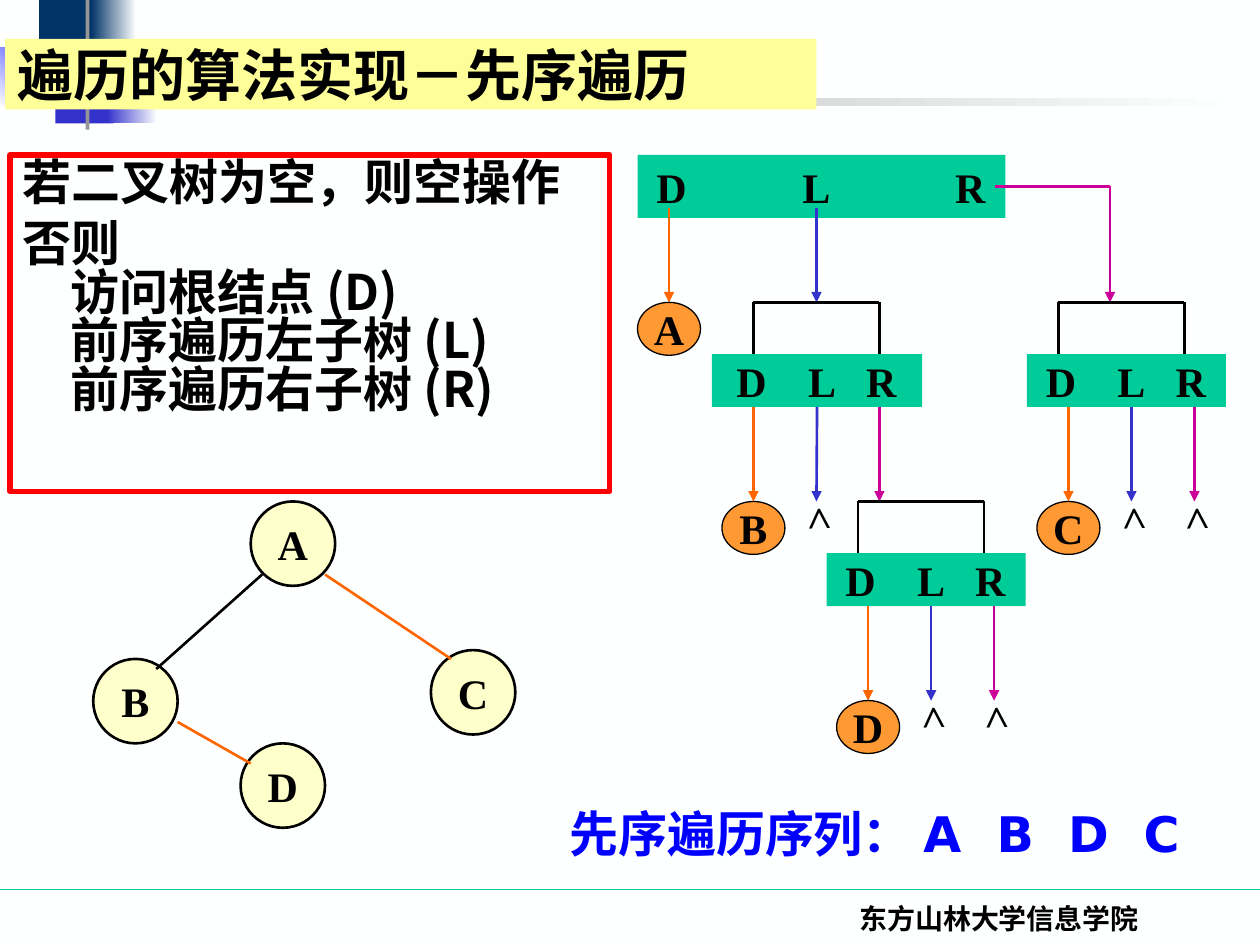
import lxml.etree
import pptx
import pptx.dml.color
import pptx.enum.dml
import pptx.enum.shapes
import pptx.enum.text
import pptx.oxml.ns
import pptx.util

Inches = pptx.util.Inches
Pt = pptx.util.Pt
SHAPE = pptx.enum.shapes.MSO_SHAPE
ALIGN = pptx.enum.text.PP_ALIGN
ANCHOR = pptx.enum.text.MSO_ANCHOR
SERIF, CJK = "Times New Roman", "Noto Sans CJK SC"
VISIT, LEFT, RIGHT = "FF6600", "3333CC", "CC0099"
STEP = 0.5


def color(value):
    """Turn a hex string into a colour."""
    return pptx.dml.color.RGBColor.from_string(value)


def apply(target, values):
    """Set each attribute named in a dict of format values."""
    for name, value in values.items():
        setattr(target, name, value)


def add_child(parent, tag, **attributes):
    """Append a DrawingML element to a parent."""
    return lxml.etree.SubElement(parent, pptx.oxml.ns.qn(tag), **attributes)


def write(shape, text, size, font=SERIF, ink="000000", frame=None, layout=None, tabs=()):
    """Write bold paragraphs, split at newlines, with centred tab stops."""
    text_frame = shape.text_frame
    apply(text_frame, {"word_wrap": True, **(frame or {})})
    text_frame.text = text
    for paragraph in text_frame.paragraphs:
        apply(paragraph, layout or {})
        for run in paragraph.runs:
            apply(run.font, {"size": Pt(size), "name": font, "bold": True})
            run.font.color.rgb = color(ink)
            add_child(run._r.get_or_add_rPr(), "a:ea", typeface=CJK)
        if tabs:
            stops = add_child(paragraph._p.get_or_add_pPr(), "a:tabLst")
            for tab in tabs:
                add_child(stops, "a:tab", pos=str(Inches(tab)), algn="ctr")


def add_shape(slide, kind, box, fill=None, line=None, weight=0.75):
    """Add a flat preset shape; a pair of colours makes a gradient."""
    shape = slide.shapes.add_shape(kind, *map(Inches, box))
    shape.shadow.inherit = False
    if isinstance(fill, tuple):
        shape.fill.gradient()
        shape.fill.gradient_angle = 0
        for stop, value, position in zip(shape.fill.gradient_stops, fill, (0, 1)):
            stop.color.rgb = color(value)
            stop.position = position
    elif fill:
        shape.fill.solid()
        shape.fill.fore_color.rgb = color(fill)
    else:
        shape.fill.background()
    if line:
        shape.line.color.rgb = color(line)
        shape.line.width = Pt(weight)
    else:
        shape.line.fill.background()
    return shape


def add_line(slide, start, end, ink="000000", arrow=False, weight=1.5):
    """Add a straight line, with an arrowhead at its end if asked."""
    line = slide.shapes.add_connector(
        pptx.enum.shapes.MSO_CONNECTOR.STRAIGHT, *map(Inches, (*start, *end)))
    line.line.color.rgb = color(ink)
    line.line.width = Pt(weight)
    if arrow:
        add_child(line.line._get_or_add_ln(), "a:tailEnd", type="triangle")
    add_child(line._element.spPr, "a:effectLst")
    return line


def add_decoration(slide):
    """Draw the corner blocks and the two rules."""
    add_line(slide, (0, 7.06), (10, 7.06), "00CC99", weight=0.75)
    blocks = [
        ((0.31, 0, 0.48, 0.52), "003366"),
        ((0.72, 0, 0.36, 0.52), ("003366", "FEFFFF")),
        ((0.44, 0.46, 0.46, 0.52), "3333CC"),
        ((0.85, 0.46, 0.4, 0.52), ("3333CC", "FEFFFF")),
        ((-0.01, 0.38, 0.61, 0.46), ("FEFFFF", "0000FF")),
        ((0.68, -0.12, 0.03, 1.15), "969696"),
        ((0.33, 0.78, 9.51, 0.06), ("969696", "FEFFFF")),
    ]
    shapes = [add_shape(slide, SHAPE.RECTANGLE, box, fill) for box, fill in blocks]
    shapes[4].fill.gradient_angle = 45


def add_letters(slide, box, offsets):
    """Draw a green bar with D, L and R centred at the given offsets."""
    bar = add_shape(slide, SHAPE.RECTANGLE, box, "00CC99")
    frame = {"margin_left": Inches(offsets[0] - 0.12), "margin_right": 0,
             "vertical_anchor": ANCHOR.MIDDLE}
    tabs = [offset - offsets[0] + 0.12 for offset in offsets[1:]]
    write(bar, "D\tL\tR", 24, frame=frame, layout={"alignment": ALIGN.LEFT}, tabs=tabs)
    return bar


def add_node(slide, box, letter, fill, weight):
    """Draw an outlined ellipse holding one letter."""
    node = add_shape(slide, SHAPE.OVAL, box, fill, "000000", weight)
    write(node, letter, 24, frame={"word_wrap": False, "vertical_anchor": ANCHOR.MIDDLE},
          layout={"alignment": ALIGN.CENTER})
    return node


def add_visit(slide, x, start, end, letter):
    """Draw the arrow to a visited node and the node below it."""
    arrow = add_line(slide, (x, start), (x, end), VISIT, True)
    node = add_node(slide, (x - 0.25, end, 0.5, 0.42), letter, "FF9933", 0.75)
    arrow.end_connect(node, 0)


def add_empty(slide, x, top):
    """Draw the sign for an empty subtree."""
    sign = slide.shapes.add_textbox(*map(Inches, (x - 0.21, top, 0.42, 0.5)))
    sign.rotation = 268.3
    write(sign, ">", 24, layout={"space_before": Pt(15)})


def add_call(slide, box, inset, letter, empty_right=True):
    """Draw one recursive call: bracket, bar, arrows and outcomes."""
    left, top, width = box
    bar_top, bar_bottom, end = top + 0.41, top + 0.83, top + 1.58
    start, finish = left + inset, left + inset + 2 * STEP
    add_line(slide, (start, top), (finish, top))
    for x in (start, finish):
        add_line(slide, (x, top), (x, bar_top))
    shift = (width - 1.58) / 2
    bar = add_letters(slide, (left, bar_top, width, 0.42),
                      [offset + shift for offset in (0.27, 0.83, 1.3)])
    first = left + 0.33
    add_visit(slide, first, bar_bottom, end, letter)
    for index, ink in enumerate((LEFT, RIGHT), 1):
        x = first + index * STEP
        arrow = add_line(slide, (x, bar_bottom), (x, end), ink, True)
        if abs(x - left - width / 2) < 0.01:
            arrow.begin_connect(bar, 2)
        if ink == LEFT or empty_right:
            add_empty(slide, x, top + 1.45)


def add_trace(slide, left, top):
    """Draw the recursion trace from its top left corner."""
    add_letters(slide, (left, top, 2.92, 0.5), (0.27, 1.42, 2.64))
    calls = top + 1.17
    add_visit(slide, left + 0.25, top + 0.42, calls, "A")
    add_line(slide, (left + 1.42, top + 0.42), (left + 1.42, calls), LEFT, True)
    corner = (left + 3.75, top + 0.25)
    add_line(slide, (left + 2.84, top + 0.25), corner, RIGHT)
    add_line(slide, corner, (left + 3.75, calls), RIGHT, True)
    add_call(slide, (left + 0.59, calls, 1.67), 0.33, "B", empty_right=False)
    add_call(slide, (left + 1.5, calls + 1.58, 1.58), 0.25, "D")
    add_call(slide, (left + 3.09, calls, 1.58), 0.25, "C")


def add_tree(slide, left, top):
    """Draw the binary tree from its top left corner."""
    nodes = {"A": (1.25, 0), "D": (1.17, 1.92), "B": (0, 1.25), "C": (2.68, 1.18)}
    for letter, (x, y) in nodes.items():
        add_node(slide, (left + x, top + y, 0.67, 0.67), letter, "FFFFCC", 1.5)
    edges = [((1.34, 0.58), (0.5, 1.33), "000000"),
             ((1.84, 0.58), (2.84, 1.25), VISIT),
             ((0.67, 1.75), (1.25, 2.08), VISIT)]
    for (x1, y1), (x2, y2), ink in edges:
        add_line(slide, (left + x1, top + y1), (left + x2, top + y2), ink)


def add_texts(slide):
    """Write the footer, the sequence, the algorithm and the title."""
    footer = slide.shapes.add_textbox(*map(Inches, (5.86, 7.11, 4.14, 0.5)))
    write(footer, "东方山林大学信息学院", 16,
          layout={"alignment": ALIGN.CENTER, "space_before": Pt(10)})
    sequence = slide.shapes.add_textbox(*map(Inches, (4.42, 6.33, 5.19, 0.57)))
    write(sequence, "先序遍历序列：\tA\tB\tD\tC", 28, "DejaVu Sans", "0000FF",
          tabs=[2.96 + 0.58 * index for index in range(4)])
    algorithm = add_shape(slide, SHAPE.RECTANGLE, (0.08, 1.23, 4.76, 2.67), None, "FF0000", 3)
    write(algorithm, "若二叉树为空，则空操作\n否则\v访问根结点 (D)\v前序遍历左子树 (L)\v前序遍历右子树 (R)",
          28, CJK, frame={"vertical_anchor": ANCHOR.TOP},
          layout={"alignment": ALIGN.LEFT, "space_before": Pt(7), "line_spacing": 0.83})
    for paragraph in algorithm.text_frame.paragraphs:
        properties = paragraph._p.get_or_add_pPr()
        properties.set("marL", str(Inches(0.38)))
        properties.set("indent", str(-Inches(0.38)))
    title = add_shape(slide, SHAPE.RECTANGLE, (0.04, 0.31, 6.44, 0.56), "FFFF99")
    write(title, "遍历的算法实现－先序遍历", 32, CJK,
          frame={"vertical_anchor": ANCHOR.MIDDLE}, layout={"alignment": ALIGN.LEFT})


def main():
    """Build the slide and save it."""
    presentation = pptx.Presentation()
    apply(presentation, {"slide_width": Inches(10), "slide_height": Inches(7.5)})
    slide = presentation.slides.add_slide(presentation.slide_layouts[6])
    slide.background.fill.solid()
    slide.background.fill.fore_color.rgb = color("FEFFFF")
    add_decoration(slide)
    add_trace(slide, 5.06, 1.23)
    add_tree(slide, 0.74, 3.98)
    add_texts(slide)
    presentation.save("out.pptx")


if __name__ == "__main__":
    main()
